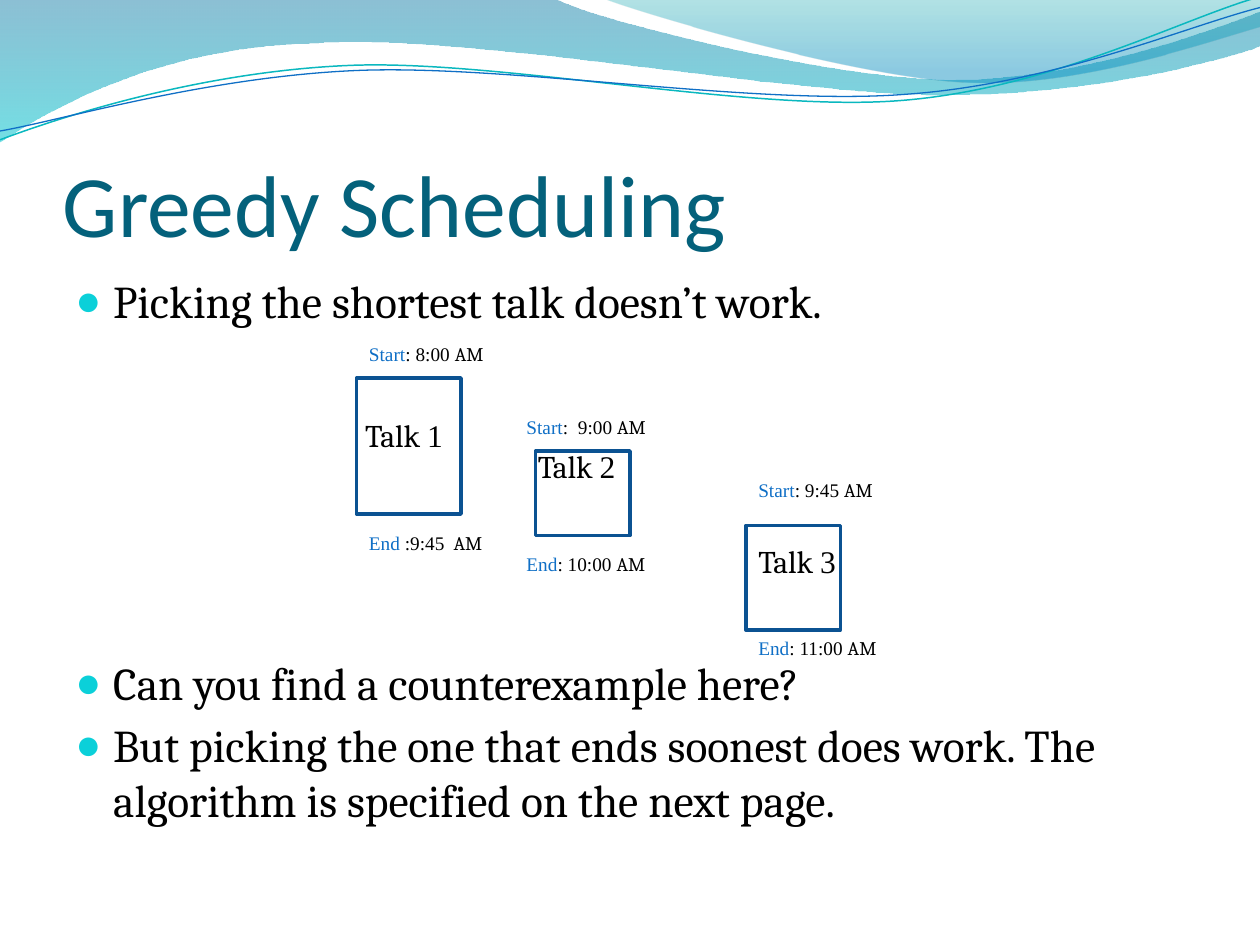
from lxml import etree
from pptx import Presentation
from pptx.dml.color import RGBColor
from pptx.enum.shapes import MSO_SHAPE
from pptx.enum.text import MSO_ANCHOR
from pptx.oxml.ns import qn
from pptx.util import Inches, Pt

RECTANGLE = MSO_SHAPE.RECTANGLE
TOP, BOTTOM = MSO_ANCHOR.TOP, MSO_ANCHOR.BOTTOM

# Content
TITLE = "Greedy Scheduling"
BULLETS = [  # text, space before in points
    ("Picking the shortest talk doesn’t work.", 4.4),
    ("Can you find a counterexample here?", 187),
    ("But picking the one that ends soonest does work. "
     "The algorithm is specified on the next page.", 4.4),
]
# Boxes are left, top, width, height; the other places are left, top
TALKS = [
    {"number": "1", "box": (2.83, 3, 0.83, 1.08), "name_at": (2.8, 3.25),
     "times": [((2.83, 2.67), "Start", ": 8:00 ", "AM"),
               ((2.83, 4.17), "End", " :9:45 ", " AM")]},
    {"number": "2", "box": (4.25, 3.58, 0.75, 0.67), "name_at": (4.17, 3.5),
     "times": [((4.08, 3.25), "Start", ":  9:00 ", "AM"),
               ((4.08, 4.33), "End", ": 10:00 ", "AM")]},
    {"number": "3", "box": (5.92, 4.17, 0.75, 0.83), "name_at": (5.92, 4.25),
     "times": [((5.92, 3.75), "Start", ": 9:45 ", "AM"),
               ((5.92, 5), "End", ": 11:00 ", "AM")]},
]

# Outlines: a start point, then lines (x, y) and curves (two controls and an end)
WAVES = [
    {"outline": [(0, 0), (4.4, -0.01), (4.76, 0.17, 6.64, 0.63, 7.58, 0.63),
                 (8.53, 0.63, 9.58, 0.26, 10, 0.09), (10.01, 0.36),
                 (9.83, 0.44, 8.7, 0.76, 7.46, 0.75),
                 (6.22, 0.75, 3.82, 0.28, 2.57, 0.34),
                 (1.29, 0.36, 0.46, 0.83, -0.01, 1.13)],
     "stops": [(0, "0074A1", 45), (1, "00C6CF", 55)]},
    {"outline": [(4.79, -0.01), (5.09, 0.11, 6.82, 0.62, 7.69, 0.65),
                 (8.56, 0.69, 9.61, 0.32, 10, 0.21), (10, 0)],
     "stops": [(0, "00A1A9", 30), (0.8, "008BBF", 45)]},
    {"outline": [(0, 1.11), (0.48, 0.93, 1.58, 0.57, 2.77, 0.52),
                 (3.95, 0.47, 5.93, 0.89, 7.13, 0.8),
                 (8.33, 0.71, 9.38, 0.15, 9.98, -0.02)],
     "line": ("0AB8BF", 0.85)},
    {"outline": [(0, 1.04), (0.47, 0.96, 1.64, 0.61, 2.83, 0.56),
                 (4.03, 0.51, 5.97, 0.84, 7.17, 0.75),
                 (8.36, 0.67, 9.41, 0.21, 10, 0.06)],
     "line": ("0F6FC6", 0.75)},
]

SERIF, DIGITS = "Cambria", "Times New Roman"
THEME = {
    "title": {"name": "Calibri", "size": 50, "color": "04617B"},
    "body": {"name": SERIF, "size": 26, "color": "000000"},
    "talk": {"name": SERIF, "size": 18, "color": "000000"},
    "talk_number": {"name": DIGITS, "size": 18, "color": "000000"},
    "time_label": {"name": DIGITS, "size": 11, "color": "0F6FC6"},
    "time": {"name": DIGITS, "size": 11, "color": "000000"},
    "half_day": {"name": SERIF, "size": 11, "color": "000000"},
    "box_line": ("0B5292", 2),
    "bullet": "0BD0D9",
}


def add_run(paragraph, text, style):
    run = paragraph.add_run()
    run.text = text
    values = {"name": THEME[style]["name"], "size": Pt(THEME[style]["size"])}
    for attribute, value in values.items():
        setattr(run.font, attribute, value)
    run.font.color.rgb = RGBColor.from_string(THEME[style]["color"])


def add_text(slide, place, runs=(), **frame_format):
    frame = slide.shapes.add_textbox(*map(Inches, place)).text_frame
    for attribute, value in {"word_wrap": True, "vertical_anchor": TOP, **frame_format}.items():
        setattr(frame, attribute, value)
    for text, style in runs:
        add_run(frame.paragraphs[0], text, style)
    return frame


def add_bullet(paragraph):
    properties = paragraph._p.get_or_add_pPr()
    properties.set("marL", str(Inches(0.3)))
    properties.set("indent", str(Inches(-0.3)))
    color = etree.SubElement(properties, qn("a:buClr"))
    etree.SubElement(color, qn("a:srgbClr"), val=THEME["bullet"])
    etree.SubElement(properties, qn("a:buSzPct"), val="95000")
    etree.SubElement(properties, qn("a:buFont"), typeface=DIGITS)
    etree.SubElement(properties, qn("a:buChar"), char="●")


def set_line(shape, color, width):
    shape.line.color.rgb = RGBColor.from_string(color)
    shape.line.width = Pt(width)


def add_outline(slide, outline, closed):
    """Draw every point as a line end, then join each curve's three points into a Bézier."""
    points = [(Inches(x), Inches(y)) for segment in outline
              for x, y in zip(segment[::2], segment[1::2])]
    builder = slide.shapes.build_freeform(*points[0])
    builder.add_line_segments(points[1:], close=closed)
    shape = builder.convert_to_shape()
    lines = iter(list(shape._element.iter(qn("a:lnTo"))))
    for segment in outline[1:]:
        line = next(lines)
        if len(segment) == 6:
            line.tag = qn("a:cubicBezTo")
            for _ in range(2):
                extra = next(lines)
                line.append(extra[0])
                extra.getparent().remove(extra)
    return shape


def add_wave(slide, wave):
    shape = add_outline(slide, wave["outline"], "stops" in wave)
    shape.shadow.inherit = False
    if "line" in wave:
        shape.fill.background()
        set_line(shape, *wave["line"])
        return
    shape.line.fill.background()
    shape.fill.gradient()
    shape.fill.gradient_angle = 270
    for stop, (position, color, _) in zip(shape.fill.gradient_stops, wave["stops"]):
        stop.position = position
        stop.color.rgb = RGBColor.from_string(color)
    colors = shape._element.spPr.iter(qn("a:srgbClr"))
    for color, (_, _, opacity) in zip(list(colors), wave["stops"]):
        etree.SubElement(color, qn("a:alpha"), val=str(opacity * 1000))


def add_talk(slide, talk):
    box = slide.shapes.add_shape(RECTANGLE, *map(Inches, talk["box"]))
    box.shadow.inherit = False
    box.fill.background()
    set_line(box, *THEME["box_line"])
    add_text(slide, (*talk["name_at"], 0.92, 0.4),
             [("Talk ", "talk"), (talk["number"], "talk_number")])
    for place, label, time, half_day in talk["times"]:
        add_text(slide, (*place, 1.83, 0.29),
                 [(label, "time_label"), (time, "time"), (half_day, "half_day")])


def main():
    presentation = Presentation()
    presentation.slide_width, presentation.slide_height = Inches(10), Inches(7.5)
    slide = presentation.slides.add_slide(presentation.slide_layouts[6])

    # Wave banner
    for wave in WAVES:
        add_wave(slide, wave)

    # Title and bullets
    add_text(slide, (0.5, 0.77, 9, 1.25), [(TITLE, "title")], vertical_anchor=BOTTOM,
             margin_left=0, margin_right=0, margin_bottom=0)
    body = add_text(slide, (0.5, 2.12, 9, 4.8))
    for index, (text, space_before) in enumerate(BULLETS):
        paragraph = body.add_paragraph() if index else body.paragraphs[0]
        paragraph.space_before = Pt(space_before)
        add_bullet(paragraph)
        add_run(paragraph, text, "body")

    # Talks with their times
    for talk in TALKS:
        add_talk(slide, talk)

    presentation.save("out.pptx")


if __name__ == "__main__":
    main()
